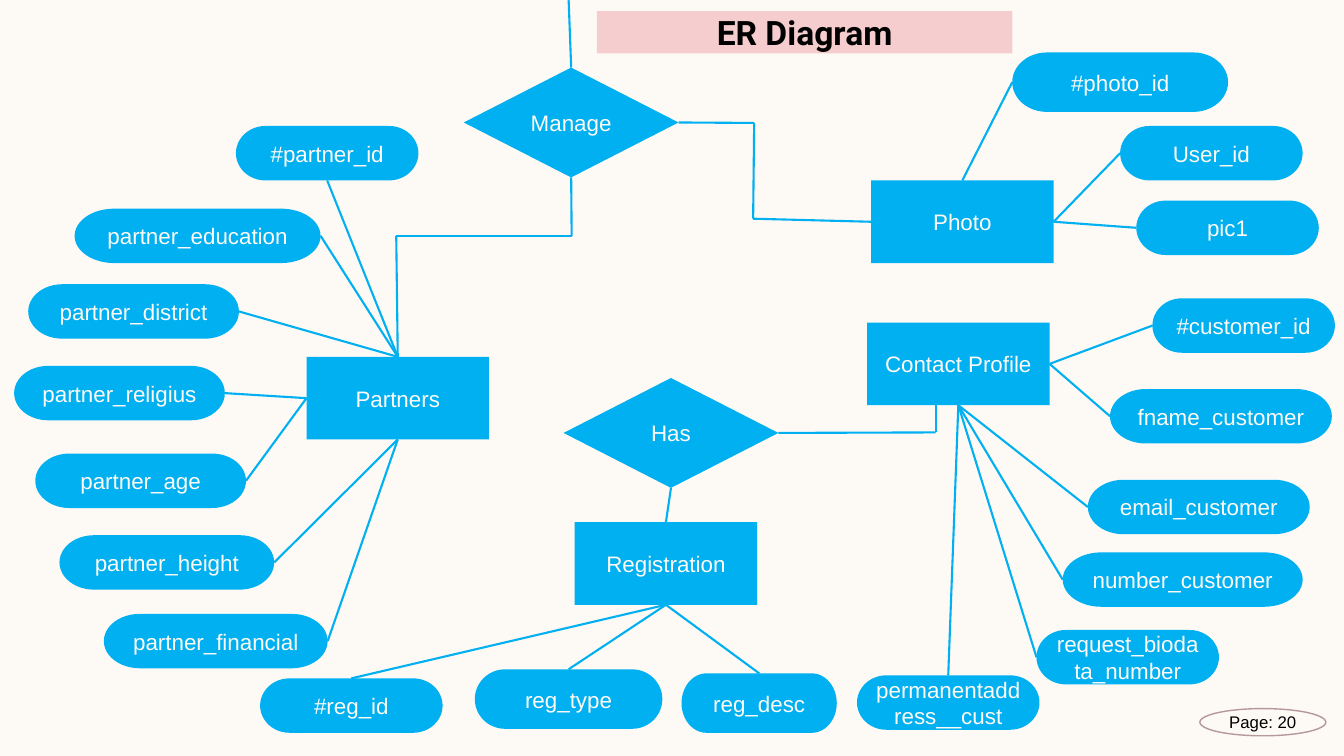
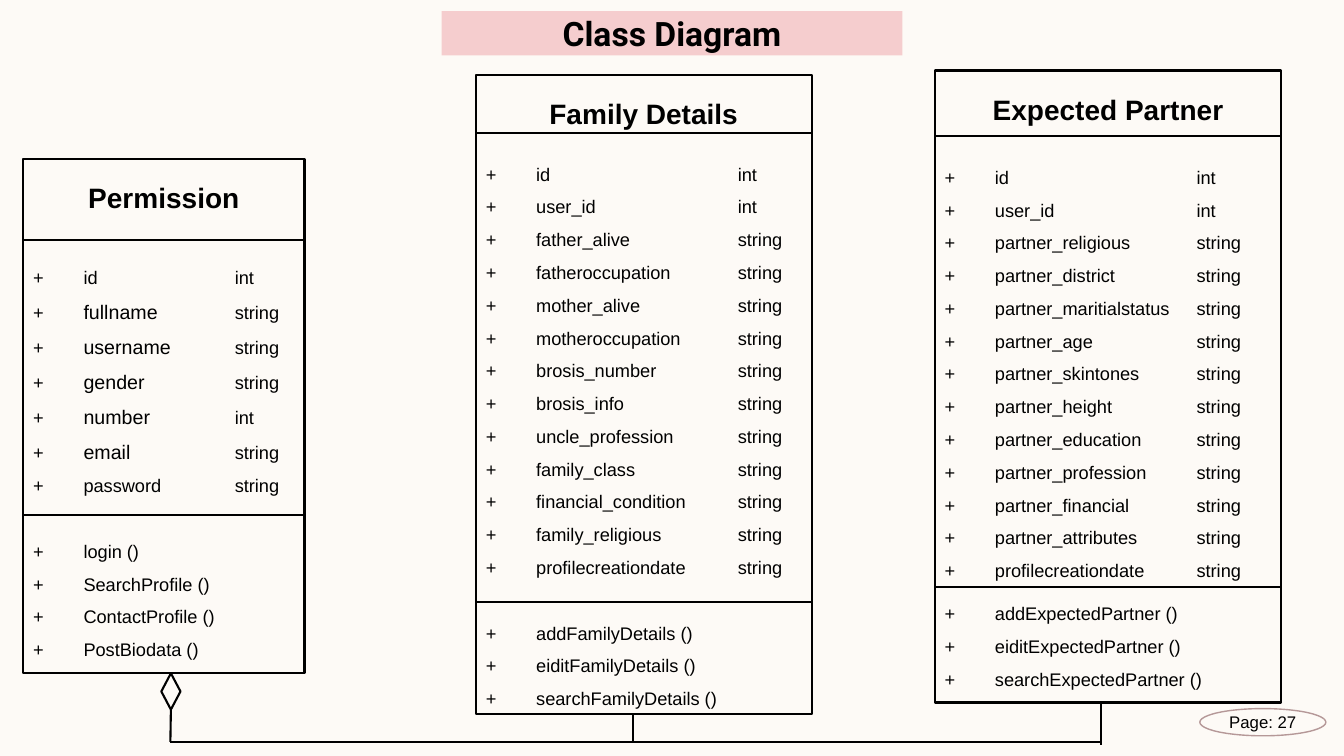
import pptx
import pptx.util
import pptx.dml.color
import pptx.enum.shapes
import pptx.enum.text
import pptx.oxml
import pptx.oxml.ns

Inches = pptx.util.Inches
Pt = pptx.util.Pt
KIND = pptx.enum.shapes.MSO_SHAPE
PILL = KIND.FLOWCHART_TERMINATOR
CHOICE = KIND.FLOWCHART_DECISION
CREAM, BLUE, PINK, MAUVE, BLACK = "FDFAF6", "00B0F0", "F5CDCE", "B59898", "000000"
TOP, LEFT, BOTTOM, RIGHT = range(4)
PITCH = 23.4

ENTITIES = {
    "Registration": (5.7, 5.18),
    "Contact Profile": (8.6, 3.2),
    "Partners": (3.04, 3.54),
    "Photo": (8.64, 1.79),
}

# name, left, top, width, height, own side, entity side
FIELDS = {
    "Partners": [
        ("#partner_id", 2.34, 1.25, 1.81, 0.54, BOTTOM, TOP),
        ("partner_education", 0.74, 2.07, 2.44, 0.54, RIGHT, TOP),
        ("partner_district", 0.28, 2.82, 2.09, 0.54, RIGHT, TOP),
        ("partner_religius", 0.14, 3.63, 2.09, 0.54, RIGHT, LEFT),
        ("partner_age", 0.35, 4.5, 2.09, 0.54, RIGHT, LEFT),
        ("partner_height", 0.59, 5.31, 2.13, 0.54, RIGHT, BOTTOM),
        ("partner_financial", 1.03, 6.09, 2.22, 0.54, RIGHT, BOTTOM),
    ],
    "Registration": [
        ("#reg_id", 2.58, 6.73, 1.81, 0.54, TOP, BOTTOM),
        ("reg_type", 4.71, 6.64, 1.86, 0.59, TOP, BOTTOM),
        ("reg_desc", 6.76, 6.68, 1.54, 0.59, TOP, BOTTOM),
    ],
    "Contact Profile": [
        ("#customer_id", 11.43, 2.96, 1.81, 0.54, LEFT, RIGHT),
        ("fname_customer", 11.01, 3.86, 2.2, 0.54, LEFT, RIGHT),
        ("email_customer", 10.79, 4.76, 2.2, 0.54, LEFT, BOTTOM),
        ("number_customer", 10.54, 5.48, 2.38, 0.54, LEFT, BOTTOM),
        ("request_biodata_number", 10.28, 6.25, 1.81, 0.54, LEFT, BOTTOM),
        ("permanentaddress__cust", 8.5, 6.7, 1.81, 0.54, TOP, BOTTOM),
    ],
    "Photo": [
        ("#photo_id", 10.04, 0.52, 2.14, 0.59, LEFT, TOP),
        ("User_id", 11.11, 1.25, 1.81, 0.54, LEFT, RIGHT),
        ("pic1", 11.27, 1.99, 1.81, 0.54, LEFT, RIGHT),
    ],
}

# box, divider heights, type tab, gaps above the two lists
CLASSES = {
    "Expected Partner": ((9.27, 0.7, 3.44, 6.27), (1.35, 5.82), 2.5, (20.9, 7.3)),
    "Family Details": ((4.72, 0.74, 3.33, 6.34), (1.32, 5.97), 2.5, (15.8, PITCH)),
    "Permission": ((0.23, 1.58, 2.79, 5.1), (2.38, 5.11), 2, (29, PITCH)),
}

INTS = {"id", "user_id", "number"}
LARGE = {"fullname", "username", "gender", "number", "email"}

MEMBERS = {
    "Expected Partner": (
        ["id", "user_id", "partner_religious", "partner_district",
         "partner_maritialstatus", "partner_age", "partner_skintones",
         "partner_height", "partner_education", "partner_profession",
         "partner_financial", "partner_attributes", "profilecreationdate"],
        ["addExpectedPartner", "eiditExpectedPartner", "searchExpectedPartner"],
    ),
    "Family Details": (
        ["id", "user_id", "father_alive", "fatheroccupation", "mother_alive",
         "motheroccupation", "brosis_number", "brosis_info", "uncle_profession",
         "family_class", "financial_condition", "family_religious",
         "profilecreationdate"],
        ["addFamilyDetails", "eiditFamilyDetails", "searchFamilyDetails"],
    ),
    "Permission": (
        ["id", "fullname", "username", "gender", "number", "email", "password"],
        ["login", "SearchProfile", "ContactProfile", "PostBiodata"],
    ),
}


def tint(part, color):
    """Give a fill, or a font or line colour, its hex value."""
    if hasattr(part, "solid"):
        part.solid()
        part.fore_color.rgb = pptx.dml.color.RGBColor.from_string(color)
    else:
        part.color.rgb = pptx.dml.color.RGBColor.from_string(color)


def style(para, size, color=BLACK, face="Arial", bold=False, center=True):
    """Set the font and alignment of a paragraph."""
    font = para.font
    font.size, font.name, font.bold = Pt(size), face, bold
    tint(font, color)
    align = pptx.enum.text.PP_ALIGN
    para.alignment = align.CENTER if center else align.LEFT


def shape(slide, kind, box, fill=None, line=None, width=1.5):
    """Add a flat preset shape."""
    item = slide.shapes.add_shape(kind, *map(Inches, box))
    item.shadow.inherit = False
    if fill:
        tint(item.fill, fill)
    else:
        item.fill.background()
    if line:
        tint(item.line, line)
        item.line.width = Pt(width)
    else:
        item.line.fill.background()
    return item


def node(slide, kind, text, *box):
    """Add a labelled blue diagram node."""
    item = shape(slide, kind, box, BLUE)
    para = item.text_frame.paragraphs[0]
    para.text = text
    style(para, 16, CREAM)
    return item


def wire(slide, color, *stops):
    """Draw lines through stops, each a point or a (shape, side) pair."""
    for start, end in zip(stops, stops[1:]):
        ends = [(0, 0) if hasattr(s[0], "shape_id") else s for s in (start, end)]
        line = slide.shapes.add_connector(
            pptx.enum.shapes.MSO_CONNECTOR.STRAIGHT,
            *(Inches(v) for point in ends for v in point))
        for stop, join in ((start, line.begin_connect), (end, line.end_connect)):
            if hasattr(stop[0], "shape_id"):
                join(*stop)
        tint(line.line, color)
        line.line.width = Pt(1.5)
        props = line._element.spPr
        props.append(props.makeelement(pptx.oxml.ns.qn("a:effectLst"), {}))


def page(deck, title, box, number):
    """Add a slide with its title band and page number."""
    slide = deck.slides.add_slide(deck.slide_layouts[5])
    band = slide.shapes.title
    band.left, band.top, band.width, band.height = map(Inches, box)
    tint(band.fill, PINK)
    frame = band.text_frame
    frame.auto_size = pptx.enum.text.MSO_AUTO_SIZE.NONE
    frame.vertical_anchor = pptx.enum.text.MSO_ANCHOR.MIDDLE
    frame.text = title
    style(frame.paragraphs[0], 24, face="Roboto", bold=True)
    badge = shape(slide, KIND.OVAL, (11.9, 7.03, 1.25, 0.27), line=MAUVE, width=1)
    badge.text_frame.word_wrap = False
    para = badge.text_frame.paragraphs[0]
    para.text = f"Page: {number}"
    style(para, 12)
    return slide


def tabs(para, *stops):
    """Set left tab stops on a paragraph."""
    props = para._p.get_or_add_pPr()
    group = props.makeelement(pptx.oxml.ns.qn("a:tabLst"), {})
    props.append(group)
    for stop in stops:
        mark = {"pos": str(int(Inches(stop))), "algn": "l"}
        group.append(group.makeelement(pptx.oxml.ns.qn("a:tab"), mark))


def member(frame, name, tail, tab, gap):
    """Add one attribute or method row."""
    para = frame.add_paragraph()
    tabs(para, 0.5, tab)
    style(para, 13, center=False)
    large = name in LARGE
    para.line_spacing = Pt(25.1 if large else PITCH)
    para.space_before = Pt(gap)
    if large:
        for text in ("+\t", name, tail):
            para.add_run().text = text
        para.runs[1].font.size = Pt(14)
    else:
        para.text = f"+\t{name}{tail}"


def card(slide, title):
    """Add a class box with its attributes, methods and dividers."""
    box, rules, tab, gaps = CLASSES[title]
    fields, calls = MEMBERS[title]
    item = shape(slide, KIND.RECTANGLE, box, line=BLACK)
    frame = item.text_frame
    frame.vertical_anchor = pptx.enum.text.MSO_ANCHOR.TOP
    head = frame.paragraphs[0]
    head.text = title
    style(head, 20, bold=True)
    head.line_spacing = Pt(36)
    for i, name in enumerate(fields):
        kind = "int" if name in INTS else "string"
        member(frame, name, f"\t{kind}", tab, 0 if i else gaps[0])
    for i, name in enumerate(calls):
        member(frame, name, " ()", tab, 0 if i else gaps[1])
    for y in rules:
        wire(slide, BLACK, (box[0], y), (box[0] + box[2], y))
    return item


def entities(deck):
    """Build the entity relationship slide."""
    slide = page(deck, "ER Diagram", (5.92, 0.11, 4.12, 0.42), 20)
    nodes = {name: node(slide, KIND.RECTANGLE, name, *spot, 1.81, 0.82)
             for name, spot in ENTITIES.items()}
    for name, fields in FIELDS.items():
        for text, x, y, w, h, side, goal in fields:
            pill = node(slide, PILL, text, x, y, w, h)
            wire(slide, BLUE, (pill, side), (nodes[name], goal))
    has = node(slide, CHOICE, "Has", 5.59, 3.75, 2.13, 1.09)
    manage = node(slide, CHOICE, "Manage", 4.6, 0.67, 2.13, 1.09)
    wire(slide, BLUE, (5.64, 0), (manage, TOP))
    wire(slide, BLUE, (manage, BOTTOM), (5.67, 2.34), (3.93, 2.34),
         (nodes["Partners"], TOP))
    wire(slide, BLUE, (manage, RIGHT), (7.48, 1.22), (7.47, 2.17),
         (nodes["Photo"], LEFT))
    wire(slide, BLUE, (has, RIGHT), (9.28, 4.29), (9.28, 4.02))
    wire(slide, BLUE, (has, BOTTOM), (nodes["Registration"], TOP))


def classes(deck):
    """Build the class slide."""
    slide = page(deck, "Class Diagram", (4.38, 0.11, 4.57, 0.44), 27)
    cards = {title: card(slide, title) for title in CLASSES}
    gem = shape(slide, CHOICE, (1.6, 6.68, 0.19, 0.36), line=BLACK)
    wire(slide, BLACK, (gem, BOTTOM), (1.69, 7.36), (10.92, 7.36))
    wire(slide, BLACK, (10.92, 6.97), (10.92, 7.39))
    wire(slide, BLACK, (6.28, 7.08), (6.28, 7.36))
    return cards


def main():
    """Build and save the deck."""
    deck = pptx.Presentation()
    deck.slide_width, deck.slide_height = Inches(13.33), Inches(7.5)
    tint(deck.slide_master.background.fill, CREAM)
    entities(deck)
    classes(deck)
    deck.save("out.pptx")


if __name__ == "__main__":
    main()
